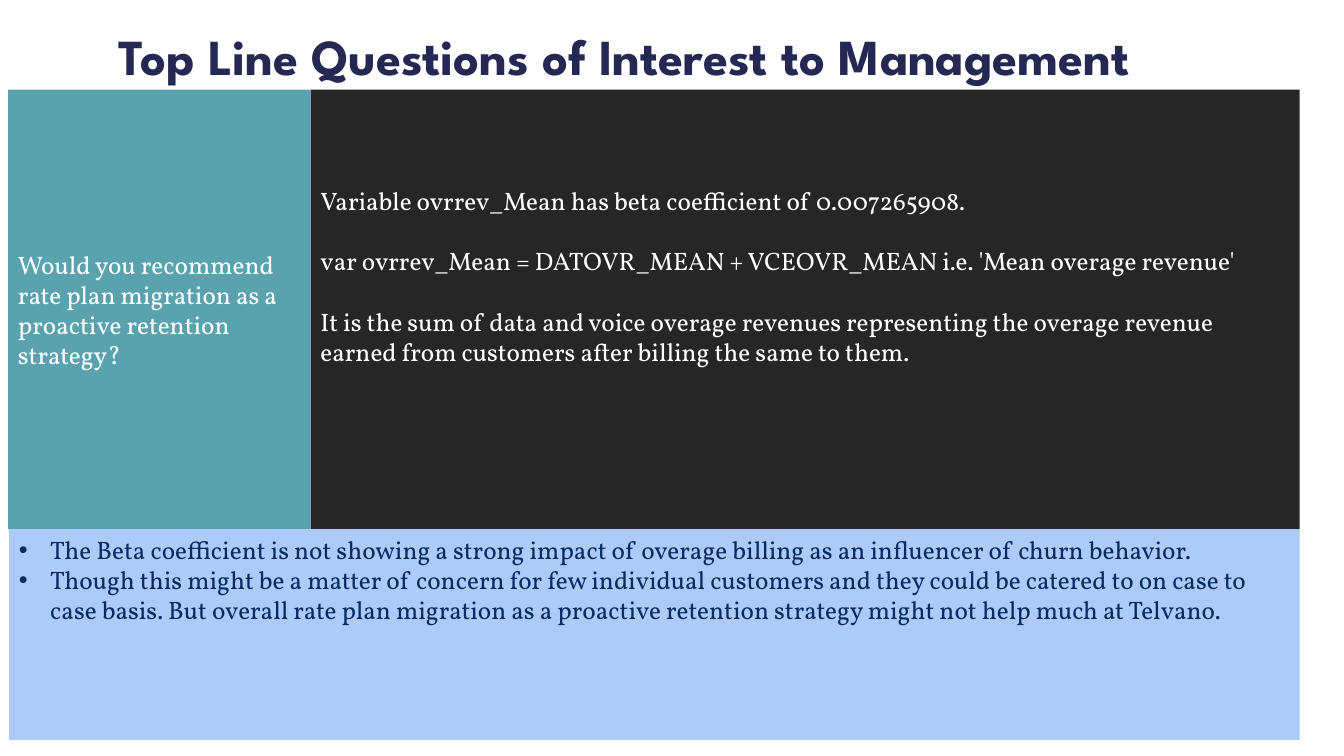
import pptx
import pptx.util
import pptx.dml.color
import pptx.enum.shapes
import pptx.enum.text
import pptx.oxml.ns
import lxml.etree

Inches, Pt = pptx.util.Inches, pptx.util.Pt
RGB = pptx.dml.color.RGBColor.from_string
Anchor = pptx.enum.text.MSO_ANCHOR
qn = pptx.oxml.ns.qn

THEME = {
    "head": "League Spartan", "body": "Vollkorn",
    "big": 36, "text": 18,
    "title": "242852", "white": "FFFFFF", "navy": "072C62",
    "teal": "5AA2AE", "black": "000000", "sky": "ACCBF9",
}
LEFT, SPLIT, RIGHT = 0.08, 3.08, 12.89
TOP, MID, BASE = 0.89, 5.25, 7.34
INDENT = 0.31
GAP = 21.5


def write(frame, lines, color, font="body", size="text", bold=False):
    """Fill a text frame with one run per paragraph and return the paragraphs."""
    frame.word_wrap = True
    paras = []
    for i, line in enumerate(lines):
        para = frame.paragraphs[0] if i == 0 else frame.add_paragraph()
        para.alignment = pptx.enum.text.PP_ALIGN.LEFT
        run = para.add_run()
        run.text = line
        run.font.name = THEME[font]
        run.font.size = Pt(THEME[size])
        run.font.bold = bold
        run.font.color.rgb = RGB(THEME[color])
        paras.append(para)
    return paras


def panel(left, top, right, base, fill, anchor):
    """Draw a plain filled block between four edges."""
    box = slide.shapes.add_shape(
        pptx.enum.shapes.MSO_SHAPE.RECTANGLE, Inches(left), Inches(top),
        Inches(right - left), Inches(base - top))
    box.shadow.inherit = False
    box.fill.solid()
    box.fill.fore_color.rgb = RGB(THEME[fill])
    box.line.fill.background()
    box.text_frame.vertical_anchor = anchor
    return box


deck = pptx.Presentation()
deck.slide_width, deck.slide_height = Inches(13.33), Inches(7.5)
slide = deck.slides.add_slide(deck.slide_layouts[6])

# Title
title = slide.shapes.add_textbox(Inches(1.08), Inches(0.14), Inches(11.5), Inches(0.75))
title.text_frame.vertical_anchor = Anchor.BOTTOM
head = write(title.text_frame, ["Top Line Questions of Interest to Management"],
             "title", "head", "big", True)
head[0].line_spacing = 0.8

# Question
ask = panel(LEFT, TOP, SPLIT, MID, "teal", Anchor.MIDDLE)
write(ask.text_frame, [
    "Would you recommend rate plan migration as a proactive retention strategy?",
], "white")

# Evidence
facts = panel(SPLIT, TOP, RIGHT, MID, "black", Anchor.TOP)
tint = facts.fill._xPr.find(qn("a:solidFill"))[0]
lxml.etree.SubElement(tint, qn("a:alpha")).set("val", "85000")
facts.text_frame.margin_top = Inches(0.95)
notes = write(facts.text_frame, [
    "Variable ovrrev_Mean has beta coefficient of 0.007265908.",
    "var ovrrev_Mean = DATOVR_MEAN + VCEOVR_MEAN i.e. 'Mean overage revenue'",
    "It is the sum of data and voice overage revenues representing the overage "
    "revenue earned from customers after billing the same to them.",
], "white")
for para in notes[1:]:
    para.space_before = Pt(GAP)

# Conclusion
answer = panel(LEFT + 0.01, MID, RIGHT, BASE, "sky", Anchor.TOP)
points = write(answer.text_frame, [
    "The Beta coefficient is not showing a strong impact of overage billing as an "
    "influencer of churn behavior.",
    "Though this might be a matter of concern for few individual customers and they "
    "could be catered to on case to case basis. But overall rate plan migration as a "
    "proactive retention strategy might not help much at Telvano.",
], "navy")
for para in points:
    props = para._p.get_or_add_pPr()
    props.set("marL", str(Inches(INDENT)))
    props.set("indent", str(-Inches(INDENT)))
    lxml.etree.SubElement(props, qn("a:buFont")).set("typeface", "Arial")
    lxml.etree.SubElement(props, qn("a:buChar")).set("char", "•")

deck.save("out.pptx")
